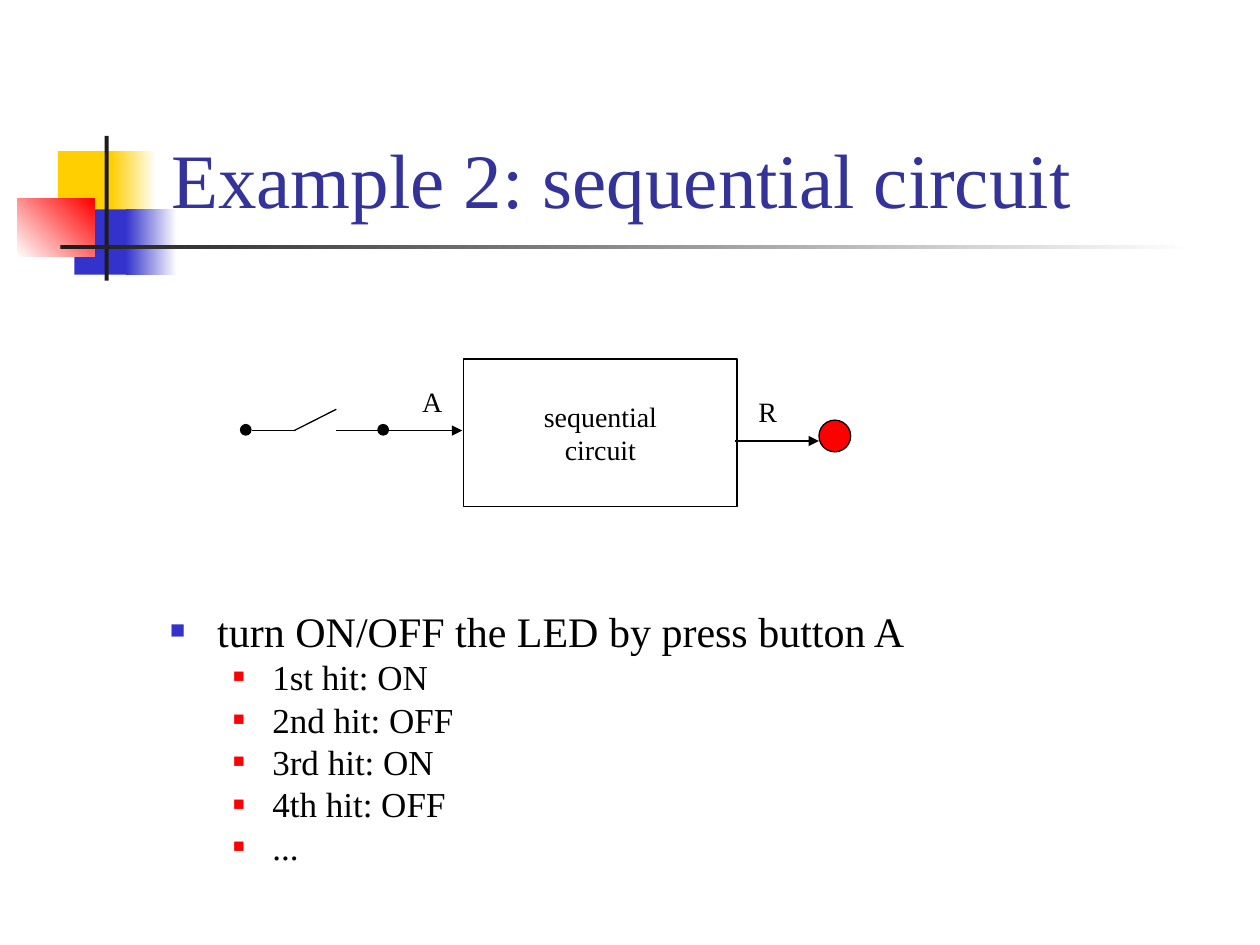
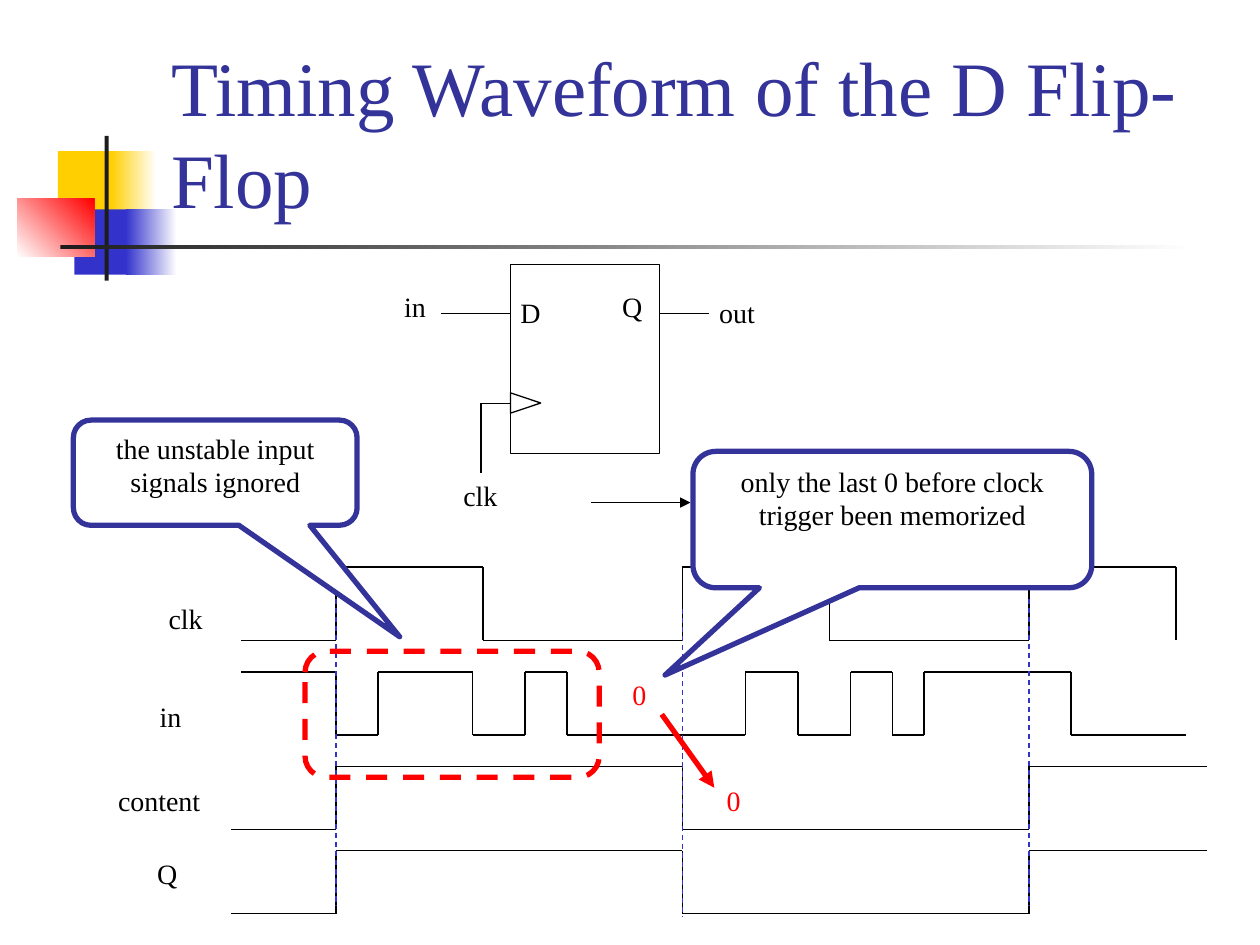
from pptx import Presentation
from pptx import util as u
from pptx.dml.color import RGBColor
from pptx.enum import dml, shapes, text
from pptx.oxml import ns, parse_xml

FONT = "Times New Roman"
BLACK, WHITE, RED = "000000", "FFFFFF", "FF0000"
YELLOW, BLUE, TITLE_BLUE, CHARCOAL = "FFCF01", "3333CC", "333399", "1C1C1C"
CELL = 2.54 / 12
KIND = shapes.MSO_SHAPE
ANCHOR = text.MSO_ANCHOR
hex_color = RGBColor.from_string


def add_box(slide, kind, place, fill=None, line=None, weight=0.75, lines=(), size=16,
            color=BLACK, anchor=ANCHOR.TOP, align=text.PP_ALIGN.LEFT, wrap=True):
    place = [u.Cm(length) for length in place]
    if kind is None:
        shape = slide.shapes.add_textbox(*place)
    else:
        shape = slide.shapes.add_shape(kind, *place)
        shape.shadow.inherit = False
        if fill is None:
            shape.fill.background()
        elif isinstance(fill, str):
            shape.fill.solid()
            shape.fill.fore_color.rgb = hex_color(fill)
        else:
            start, end, angle = fill
            shape.fill.gradient()
            shape.fill.gradient_angle = angle
            for stop, shade in zip(shape.fill.gradient_stops, (start, end)):
                stop.color.rgb = hex_color(shade)
        if line is None:
            shape.line.fill.background()
        else:
            shape.line.color.rgb = hex_color(line)
            shape.line.width = u.Pt(weight)
    if lines:
        frame = shape.text_frame
        frame.word_wrap = wrap
        frame.vertical_anchor = anchor
        for index, words in enumerate(lines):
            paragraph = frame.add_paragraph() if index else frame.paragraphs[0]
            paragraph.alignment = align
            run = paragraph.add_run()
            run.text = words
            run.font.name = FONT
            run.font.size = u.Pt(size)
            run.font.color.rgb = hex_color(color)
    return shape


def add_lines(slide, points, color=BLACK, weight=0.75, arrow=False, dashed=False):
    for start, end in zip(points, points[1:]):
        connector = slide.shapes.add_connector(
            shapes.MSO_CONNECTOR.STRAIGHT, *[u.Cm(length) for length in (*start, *end)])
        connector.line.color.rgb = hex_color(color)
        connector.line.width = u.Pt(weight)
        if dashed:
            connector.line.dash_style = dml.MSO_LINE.DASH
        if arrow:
            connector.line._get_or_add_ln().append(
                parse_xml(f'<a:tailEnd {ns.nsdecls("a")} type="triangle"/>'))
        connector._element.spPr.append(parse_xml(f'<a:effectLst {ns.nsdecls("a")}/>'))


presentation = Presentation()
presentation.slide_width = u.Cm(25.4)
presentation.slide_height = u.Cm(19.05)

ornaments = [
    ((1.17, 3.05, 1.22, 1.32), YELLOW),
    ((2.24, 3.05, 0.91, 1.32), (YELLOW, WHITE, 0)),
    ((1.5, 4.22, 1.17, 1.32), BLUE),
    ((2.54, 4.22, 1.02, 1.32), (BLUE, WHITE, 0)),
    ((0.35, 4.01, 1.55, 1.17), (WHITE, RED, 45)),
    ((2.11, 2.74, 0.08, 2.92), CHARCOAL),
    ((1.22, 4.94, 22.86, 0.09), (CHARCOAL, WHITE, 0)),
]
slides = []
for title in ("Example 2: sequential circuit", "Timing Waveform of the D Flip-Flop"):
    slide = presentation.slides.add_slide(presentation.slide_layouts[6])
    for place, fill in ornaments:
        add_box(slide, KIND.RECTANGLE, place, fill)
    add_box(slide, None, (3.2, 0.58, 21.64, 4.06), lines=[title], size=44,
            color=TITLE_BLUE, anchor=ANCHOR.BOTTOM)
    slides.append(slide)
circuit_slide, timing_slide = slides

behaviour = ["turn ON/OFF the LED by press button A", "1st hit: ON", "2nd hit: OFF",
             "3rd hit: ON", "4th hit: OFF", "..."]
body = add_box(circuit_slide, None, (3.18, 12.27, 21.59, 5.51), lines=behaviour, size=20)
for index, paragraph in enumerate(body.text_frame.paragraphs):
    if index == 0:
        size, before, left, hanging, color, percent = 24, 6, 0.95, 0.95, BLUE, 60
    else:
        size, before, left, hanging, color, percent = 20, 5, 2.06, 0.79, RED, 55
    paragraph.level = min(index, 1)
    paragraph.line_spacing = 0.8
    paragraph.space_before = u.Pt(before)
    paragraph.runs[0].font.size = u.Pt(size)
    properties = paragraph._p.get_or_add_pPr()
    properties.set("marL", str(u.Cm(left)))
    properties.set("indent", str(-u.Cm(hanging)))
    for bullet in (f'buClr {ns.nsdecls("a")}><a:srgbClr val="{color}"/></a:buClr',
                   f'buSzPct {ns.nsdecls("a")} val="{percent}000"/',
                   f'buFont {ns.nsdecls("a")} typeface="{FONT}"/',
                   f'buChar {ns.nsdecls("a")} char="■"/'):
        properties.append(parse_xml(f"<a:{bullet}>"))

add_box(circuit_slide, KIND.RECTANGLE, (9.35, 7.24, 5.51, 2.97), line=BLACK,
        lines=["sequential", "circuit"], anchor=ANCHOR.MIDDLE,
        align=text.PP_ALIGN.CENTER, wrap=False)
add_lines(circuit_slide, [(5.08, 8.68), (5.93, 8.68), (6.78, 8.25)])
add_lines(circuit_slide, [(6.78, 8.68), (7.62, 8.68)])
for left in (4.85, 7.62):
    add_box(circuit_slide, KIND.OVAL, (left, 8.56, 0.21, 0.21), BLACK, BLACK)
add_lines(circuit_slide, [(7.82, 8.68), (9.32, 8.68)], arrow=True)
add_lines(circuit_slide, [(14.82, 8.89), (16.51, 8.89)], arrow=True)
add_box(circuit_slide, KIND.OVAL, (16.51, 8.47, 0.64, 0.64), RED, BLACK)

add_box(timing_slide, KIND.RECTANGLE, (10.29, 5.33, 3, 3.81), line=BLACK)
clock_input = add_box(timing_slide, KIND.ISOSCELES_TRIANGLE, (10.39, 7.82, 0.41, 0.61), line=BLACK)
clock_input.rotation = 90
add_lines(timing_slide, [(13.29, 6.32), (14.3, 6.32)])
add_lines(timing_slide, [(10.29, 6.32), (8.89, 6.32)])
add_lines(timing_slide, [(10.29, 8.13), (9.7, 8.13), (9.7, 9.53)])
add_lines(timing_slide, [(11.91, 10.13), (13.92, 10.13)], arrow=True)

waves = [
    (61, 54, [23, 32, 46, 65, 79, 98, 112]),
    (64, 70, [23, 32, 36, 45, 50, 54, 71, 76, 81, 85, 88, 102, 113]),
    (79, 73, [22, 32, 65, 98, 115]),
    (87, 81, [22, 32, 65, 98, 115]),
]
for first_level, second_level, edges in waves:
    level, other = first_level, second_level
    points = [(edges[0] * CELL, level * CELL)]
    for edge in edges[1:]:
        points += [(edge * CELL, level * CELL), (edge * CELL, other * CELL)]
        level, other = other, level
    if first_level != 61:
        points.pop()
    add_lines(timing_slide, points)
for edge, top in ((32, 57), (65, 58), (98, 57)):
    add_lines(timing_slide, [(edge * CELL, top * CELL), (edge * CELL, (top + 29.3) * CELL)],
              color=BLUE, dashed=True)

labels = [
    (circuit_slide, "A", 8.26, 7.62, 0.91, BLACK),
    (circuit_slide, "R", 15.04, 7.82, 0.89, BLACK),
    (timing_slide, "D", 10.24, 5.84, 0.91, BLACK),
    (timing_slide, "Q", 12.29, 5.72, 0.91, BLACK),
    (timing_slide, "in", 7.9, 5.72, 0.94, BLACK),
    (timing_slide, "out", 14.25, 5.84, 1.22, BLACK),
    (timing_slide, "clk", 9.09, 9.53, 1.19, BLACK),
    (timing_slide, "clk", 3.15, 12.01, 1.19, BLACK),
    (timing_slide, "in", 2.97, 13.97, 0.94, BLACK),
    (timing_slide, "content", 2.13, 15.67, 2.16, BLACK),
    (timing_slide, "Q", 2.92, 17.15, 0.91, BLACK),
    (timing_slide, "0", 12.5, 13.54, 0.79, RED),
    (timing_slide, "0", 14.4, 15.67, 0.79, RED),
]
for slide, words, left, top, width, color in labels:
    label = add_box(slide, None, (left, top, width, 0.94), lines=[words], color=color, wrap=False)
    label.text_frame.auto_size = text.MSO_AUTO_SIZE.SHAPE_TO_FIT_TEXT

add_lines(timing_slide, [(13.34, 14.4), (14.4, 15.88)], color=RED, weight=3, arrow=True)
unstable_frame = add_box(timing_slide, KIND.ROUNDED_RECTANGLE, (6.15, 13.13, 5.93, 2.54),
                         line=RED, weight=3)
unstable_frame.line.dash_style = dml.MSO_LINE.DASH

callouts = [
    ("only the last 0 before clock trigger been memorized", (13.97, 9.1, 8.04, 2.75), (-0.57, 1.14)),
    ("the unstable input signals ignored", (1.48, 8.47, 5.72, 2.12), (0.65, 1.56)),
]
for words, place, tip in callouts:
    callout = add_box(timing_slide, KIND.ROUNDED_RECTANGULAR_CALLOUT, place, WHITE, TITLE_BLUE, 3,
                      [words], align=text.PP_ALIGN.CENTER)
    callout.adjustments[0], callout.adjustments[1] = tip

presentation.save("out.pptx")
